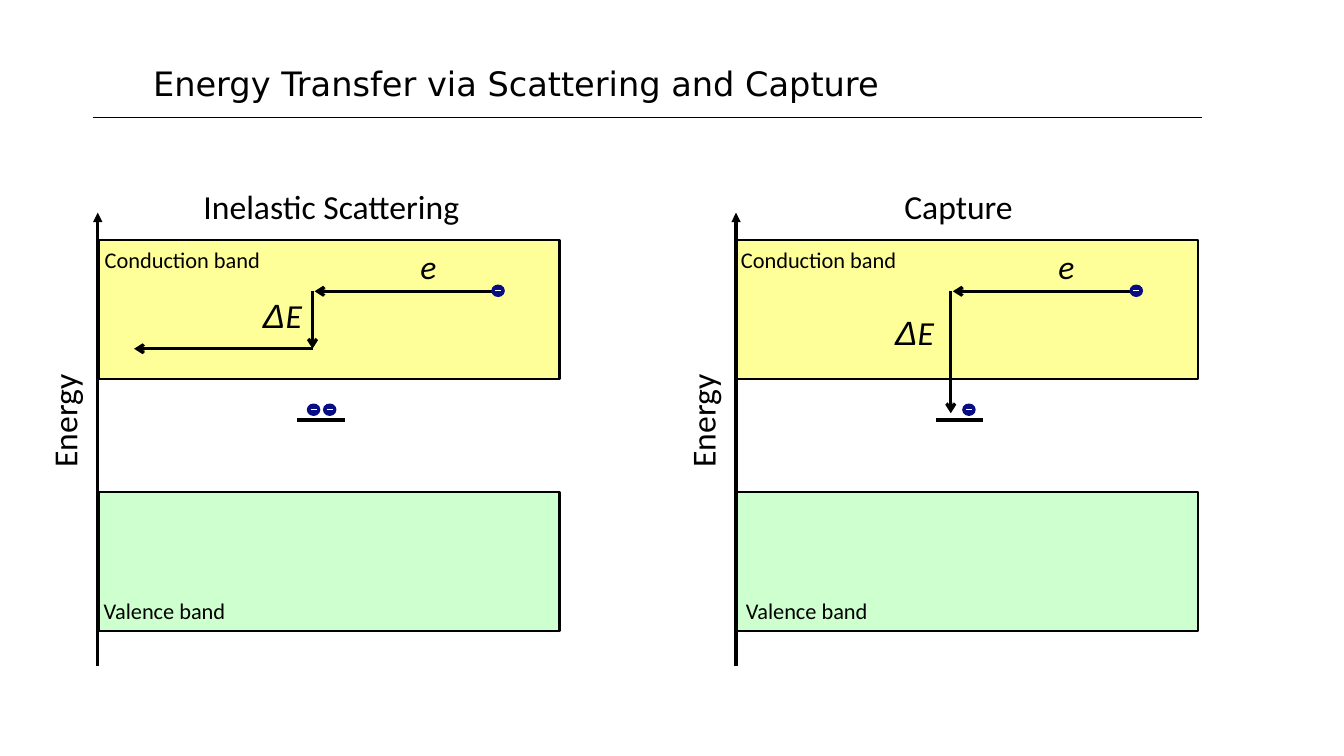
from pptx import Presentation
from pptx.dml.color import RGBColor as RGB
from pptx.enum.shapes import MSO_CONNECTOR as Conn, MSO_SHAPE as Shape
from pptx.enum.text import MSO_ANCHOR as Anchor
from pptx.oxml.ns import qn
from pptx.util import Inches, Pt
from lxml.etree import SubElement

COLORS = {"ink": "000000", "upper": "FFFF99", "lower": "CEFFCE",
          "charge": "090D84", "minus": "FFFFFF"}
BAND_W, BAND_H = 4.57, 1.38
DOT_W, DOT_H = 0.12, 0.11


def color(name):
    return RGB.from_string(COLORS[name])


def add_line(shapes, start, end, width=2.25, ink="ink", head=None):
    line = shapes.add_connector(Conn.STRAIGHT, *map(Inches, start + end))
    line.line.color.rgb = color(ink)
    line.line.width = Pt(width)
    if head:
        SubElement(line.line._get_or_add_ln(), qn("a:tailEnd"), type=head)
    SubElement(line._element.spPr, qn("a:effectLst"))


def add_solid(shapes, kind, box, fill, edge, width):
    solid = shapes.add_shape(kind, *map(Inches, box))
    solid.shadow.inherit = False
    solid.fill.solid()
    solid.fill.fore_color.rgb = color(fill)
    solid.line.color.rgb = color(edge)
    solid.line.width = Pt(width)


def add_text(slide, box, runs, size=24, italic=False, turn=0, anchor=Anchor.TOP):
    label = slide.shapes.add_textbox(*map(Inches, box))
    label.rotation = turn
    frame = label.text_frame
    frame.word_wrap = True
    frame.margin_right = 0
    frame.vertical_anchor = anchor
    para = frame.paragraphs[0]
    style = {"size": Pt(size), "italic": italic}
    for text, face in runs:
        run = para.add_run()
        run.text = text
        for key, value in (style | {"name": face}).items():
            setattr(run.font, key, value)
        run.font.color.rgb = color("ink")
    return para


def add_charge(slide, x, y):
    """Electron: a dot with a minus sign."""
    parts = slide.shapes.add_group_shape().shapes
    add_solid(parts, Shape.OVAL, (x, y, DOT_W, DOT_H), "charge", "charge", 1)
    mid = y + DOT_H / 2
    add_line(parts, (x + 0.03, mid), (x + 0.09, mid), 0.5, "minus")


def add_header(slide, x, y, w):
    add_line(slide.shapes, (x, y), (x + w, y), 0.75)
    para = add_text(slide, (x + 0.5, y - 0.72, 10, 0.79),
                    [("Energy Transfer via Scattering and Capture", "DejaVu Sans")],
                    anchor=Anchor.MIDDLE)
    para.line_spacing = 0.9


def add_panel(slide, x, y, title, title_box, drop, gap, dots, upper, lower, exit_to=None):
    """Band diagram; x is the energy axis and y its tip."""
    shapes = slide.shapes
    # Bands and axis
    for top, fill in ((0.27, "upper"), (2.77, "lower")):
        add_solid(shapes, Shape.RECTANGLE, (x + 0.01, y + top, BAND_W, BAND_H),
                  fill, "ink", 1.5)
    add_line(shapes, (x, y + 4.5), (x, y), head="triangle")
    # Labels
    left, width = title_box
    add_text(slide, (x + left, y - 0.31, width, 0.5), [(title, "Calibri")])
    add_text(slide, (x - 1.05, y + 1.66, 1.43, 0.5), [("Energy", "Calibri")], turn=270)
    add_text(slide, (x + upper, y + 0.28, 1.78, 0.37), [("Conduction band", "Calibri")], 16)
    add_text(slide, (x + lower, y + 3.77, 1.62, 0.37), [("Valence band", "Calibri")], 16)
    add_text(slide, (x + 3.1, y + 0.28, 0.36, 0.5), [("e", "Calibri")], italic=True)
    left, top = gap
    add_text(slide, (x + left, y + top, 0.61, 0.5),
             [("Δ", "Arial"), ("E", "Calibri")], italic=True)
    # Electron path
    turn_x, path_y, end_y = x + 2.13, y + 0.78, y + drop
    add_line(shapes, (x + 3.91, path_y), (x + 2.15, path_y), head="arrow")
    add_line(shapes, (turn_x, path_y), (turn_x, end_y), head="arrow")
    if exit_to:
        add_line(shapes, (turn_x, end_y), (x + exit_to, end_y), head="arrow")
    add_charge(slide, x + 3.91, y + 0.72)
    # Trap level with its electrons
    add_line(shapes, (x + 1.98, y + 2.06), (x + 2.45, y + 2.06), 3)
    for dot in dots:
        add_charge(slide, x + dot, y + 1.9)


def main():
    deck = Presentation()
    deck.slide_width, deck.slide_height = Inches(13.33), Inches(7.5)
    slide = deck.slides.add_slide(deck.slide_layouts[6])
    add_header(slide, 0.92, 1.17, 11)
    add_panel(slide, 0.97, 2.11, "Inelastic Scattering", (0.95, 2.83), drop=1.35,
              gap=(1.54, 0.77), dots=(2.08, 2.24), upper=-0.03, lower=-0.04, exit_to=0.36)
    add_panel(slide, 7.3, 2.11, "Capture", (1.57, 1.35), drop=1.99,
              gap=(1.48, 0.94), dots=(2.25,), upper=-0.05, lower=0)
    deck.save("out.pptx")


if __name__ == "__main__":
    main()
